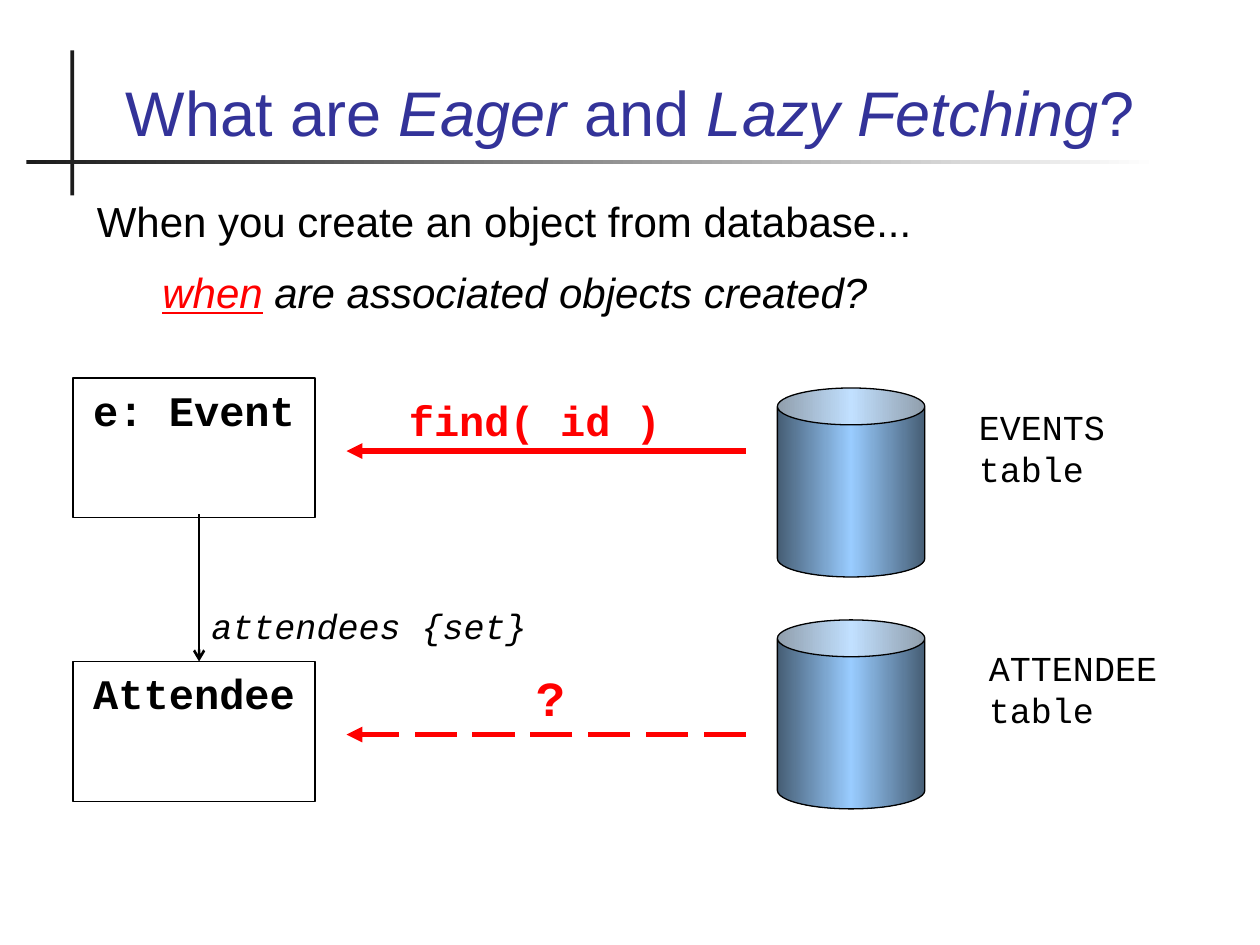
from dataclasses import dataclass

from lxml import etree
from pptx import Presentation
from pptx.dml.color import RGBColor
from pptx.enum.dml import MSO_LINE
from pptx.enum.shapes import MSO_CONNECTOR, MSO_SHAPE
from pptx.enum.text import MSO_ANCHOR, PP_ALIGN
from pptx.oxml.ns import qn
from pptx.util import Inches, Pt

RECTANGLE, CAN = MSO_SHAPE.RECTANGLE, MSO_SHAPE.CAN
STRAIGHT = MSO_CONNECTOR.STRAIGHT
LONG_DASH = MSO_LINE.LONG_DASH
LEFT, CENTER = PP_ALIGN.LEFT, PP_ALIGN.CENTER
TOP, BOTTOM = MSO_ANCHOR.TOP, MSO_ANCHOR.BOTTOM


@dataclass(frozen=True)
class Theme:
    sans: str = "Arial"
    mono: str = "Courier New"
    title_color: str = "333399"
    ink: str = "000000"
    accent: str = "FF0000"
    rule: str = "1C1C1C"
    paper: str = "FFFFFF"
    can_edge: str = "465E75"
    can_middle: str = "99CCFF"
    title_size: int = 36
    mark_size: int = 28
    body_size: int = 24
    label_size: int = 20


THEME = Theme()


def write_text(shape, *paragraphs, font=THEME.mono, size=THEME.label_size,
               color=THEME.ink, bold=False, italic=False, align=LEFT,
               anchor=TOP, space_before=0, indents=()):
    """Write paragraphs, each a string or a list of (text, run format) pairs."""
    frame = shape.text_frame
    frame.word_wrap = True
    frame.vertical_anchor = anchor
    for index, runs in enumerate(paragraphs):
        paragraph = frame.paragraphs[0] if index == 0 else frame.add_paragraph()
        paragraph.alignment = align
        if index:
            paragraph.space_before = Pt(space_before)
        if indents:
            paragraph._p.get_or_add_pPr().set("marL", str(Inches(indents[index])))
        for text, style in [(runs, {})] if isinstance(runs, str) else runs:
            run = paragraph.add_run()
            run.text = text
            run.font.name = font
            run.font.size = Pt(size)
            run.font.bold = bold
            run.font.italic = style.get("italic", italic)
            run.font.underline = style.get("underline", False)
            run.font.color.rgb = RGBColor.from_string(style.get("color", color))


def add_text(slide, left, top, width, height, *paragraphs, **text_format):
    box = slide.shapes.add_textbox(
        Inches(left), Inches(top), Inches(width), Inches(height))
    write_text(box, *paragraphs, **text_format)


def add_plain_shape(slide, kind, left, top, width, height, outlined=True):
    shape = slide.shapes.add_shape(
        kind, Inches(left), Inches(top), Inches(width), Inches(height))
    shape.shadow.inherit = False
    shape.fill.background()
    if outlined:
        shape.line.color.rgb = RGBColor.from_string(THEME.ink)
        shape.line.width = Pt(0.75)
    else:
        shape.line.fill.background()
    return shape


def fill_gradient(shape, *colors):
    """Fill from left to right with evenly spaced colours."""
    shape.fill.gradient()
    shape.fill.gradient_angle = 0
    stops = shape._element.spPr.find(qn("a:gradFill")).find(qn("a:gsLst"))
    for stop in list(stops):
        stops.remove(stop)
    for index, color in enumerate(colors):
        position = 100000 * index // (len(colors) - 1)
        stop = etree.SubElement(stops, qn("a:gs"), pos=str(position))
        etree.SubElement(stop, qn("a:srgbClr"), val=color)


def add_arrow(slide, start, end, color, width, head="triangle", dash=None):
    """Draw a line with its arrowhead at the end point."""
    arrow = slide.shapes.add_connector(
        STRAIGHT, *(Inches(value) for value in (*start, *end)))
    arrow.line.color.rgb = RGBColor.from_string(color)
    arrow.line.width = Pt(width)
    if dash is not None:
        arrow.line.dash_style = dash
    etree.SubElement(arrow.line._get_or_add_ln(), qn("a:tailEnd"), type=head)
    etree.SubElement(arrow._element.spPr, qn("a:effectLst"))


def add_heading(slide):
    upright = add_plain_shape(slide, RECTANGLE, 0.56, 0.4, 0.03, 1.15, outlined=False)
    upright.fill.solid()
    upright.fill.fore_color.rgb = RGBColor.from_string(THEME.rule)
    underline = add_plain_shape(slide, RECTANGLE, 0.21, 1.27, 8.99, 0.03, outlined=False)
    fill_gradient(underline, THEME.rule, THEME.paper)
    slanted = {"italic": True}
    add_text(slide, 0.67, 0.28, 8.66, 0.95,
             [("What are ", {}), ("Eager ", slanted), ("and", {}),
              (" Lazy Fetching", slanted), ("?", {})],
             font=THEME.sans, size=THEME.title_size, color=THEME.title_color,
             align=CENTER, anchor=BOTTOM)


def add_question(slide):
    add_text(slide, 0.67, 1.5, 8.66, 1.33,
             "When you create an object from database...",
             [("when", {"italic": True, "underline": True, "color": THEME.accent}),
              (" are associated objects created?", {"italic": True})],
             font=THEME.sans, size=THEME.body_size, space_before=12,
             indents=(0, 0.52))


def add_object_box(slide, top, name):
    box = add_plain_shape(slide, RECTANGLE, 0.58, top, 1.92, 1.11)
    write_text(box, name, size=THEME.body_size, bold=True, align=CENTER)


def add_database(slide, top):
    database = add_plain_shape(slide, CAN, 6.17, top, 1.17, 1.5)
    database.adjustments[0] = 0.25
    fill_gradient(database, THEME.can_edge, THEME.can_middle, THEME.can_edge)


def add_fetch_arrow(slide, y, dash=None):
    add_arrow(slide, (5.92, y), (2.75, y), THEME.accent, 3, dash=dash)


def main():
    presentation = Presentation()
    presentation.slide_width = Inches(10)
    presentation.slide_height = Inches(7.5)
    slide = presentation.slides.add_slide(presentation.slide_layouts[6])

    add_heading(slide)
    add_question(slide)

    add_object_box(slide, 3, "e: Event")
    add_object_box(slide, 5.25, "Attendee")
    add_arrow(slide, (1.58, 4.08), (1.58, 5.25), THEME.ink, 1.5, head="arrow")
    add_text(slide, 1.58, 4.75, 2.83, 0.44, "attendees {set}", italic=True)

    add_database(slide, 3.08)
    add_database(slide, 4.92)
    add_text(slide, 7.67, 3.17, 1.92, 0.77, "EVENTS table")
    add_text(slide, 7.75, 5.08, 1.92, 0.77, "ATTENDEE table")

    call_format = {"color": THEME.accent, "bold": True, "align": CENTER}
    add_fetch_arrow(slide, 3.58)
    add_text(slide, 3.08, 3.08, 2.33, 0.5, "find( id )",
             size=THEME.body_size, **call_format)
    add_fetch_arrow(slide, 5.83, dash=LONG_DASH)
    add_text(slide, 3.33, 5.25, 2.08, 0.57, "?",
             size=THEME.mark_size, **call_format)

    presentation.save("out.pptx")


if __name__ == "__main__":
    main()
